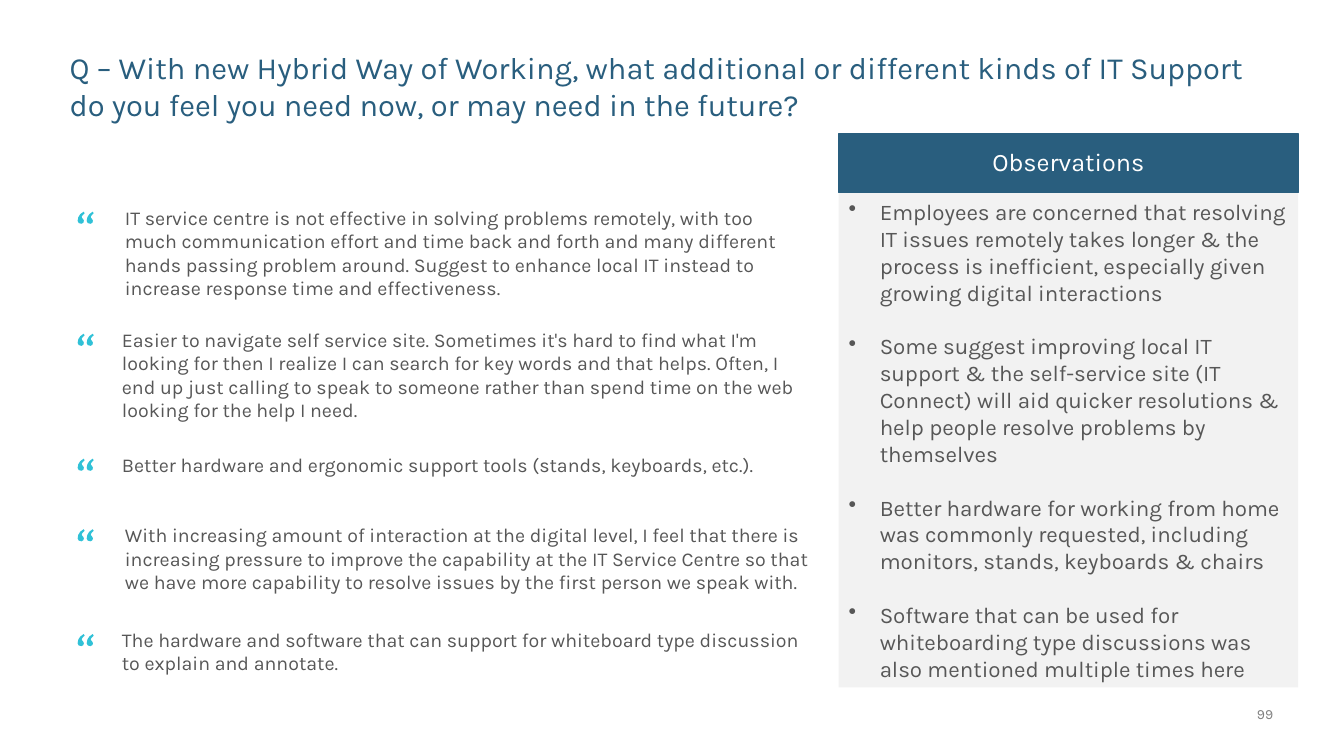
import lxml.etree
import pptx
import pptx.dml.color
import pptx.enum.shapes
import pptx.enum.text
import pptx.oxml.ns
import pptx.util

THEME = {
    "font": "Karla",
    "navy": "295E7E", "cyan": "30C1D7", "text": "575757",
    "panel": "F2F2F2", "white": "FFFFFF", "grey": "808080",
    "title": 22, "heading": 18, "observation": 16, "quote": 14, "number": 10,
}
ALIGN = pptx.enum.text.PP_ALIGN
ANCHOR = pptx.enum.text.MSO_ANCHOR
SLIDE_WIDTH = pptx.util.Inches(13.333)
SLIDE_HEIGHT = pptx.util.Inches(7.5)

# Shares of the slide in percent: left, top, width, height
TITLE_AREA = (5.18, 6.4, 89.7, 9.87)
HEADING_AREA = (62.4, 17.73, 34.2, 7.73)
PANEL_AREA = (62.4, 25.47, 34.2, 65.47)
NUMBER_AREA = (91.58, 93.33, 3.15, 2.27)
MARK_LEFT = 5.78
MARK_DROP = 1.47

# One curl of the quotation mark, in thousandths of an inch
CURL = [(40, 50), (44, 62), (56, 77), (62, 90), (57, 110), (38, 120), (11, 113),
        (0, 92), (7, 55), (27, 24), (60, 0), (70, 16), (52, 33)]
CURL_STEP = 90

# Left, top, width and height in percent, then the words
QUOTES = [
    (8.55, 26.53, 51.83, 13.87,
     "IT service centre is not effective in solving problems remotely, with too much "
     "communication effort and time back and forth and many different hands passing "
     "problem around. Suggest to enhance local IT instead to increase response time "
     "and effectiveness."),
    (8.33, 42.67, 52.8, 13.87,
     "Easier to navigate self service site. Sometimes it's hard to find what I'm looking "
     "for then I realize I can search for key words and that helps. Often, I end up just "
     "calling to speak to someone rather than spend time on the web looking for the help "
     "I need."),
    (8.33, 59.2, 53.85, 4.53,
     "Better hardware and ergonomic support tools (stands, keyboards, etc.)."),
    (8.55, 68.53, 53.85, 10.8,
     "With increasing amount of interaction at the digital level, I feel that there is "
     "increasing pressure to improve the capability at the IT Service Centre so that we "
     "have more capability to resolve issues by the first person we speak with."),
    (8.33, 82.4, 52.8, 7.6,
     "The hardware and software that can support for whiteboard type discussion to "
     "explain and annotate."),
]
OBSERVATIONS = [
    "Employees are concerned that resolving IT issues remotely takes longer & the process "
    "is inefficient, especially given growing digital interactions",
    "Some suggest improving local IT support & the self-service site (IT Connect) will aid "
    "quicker resolutions & help people resolve problems by themselves",
    "Better hardware for working from home was commonly requested, including monitors, "
    "stands, keyboards & chairs",
    "Software that can be used for whiteboarding type discussions was also mentioned "
    "multiple times here",
]


def area(left, top, width, height):
    """Turn percentages of the slide into lengths."""
    return (int(SLIDE_WIDTH * left / 100), int(SLIDE_HEIGHT * top / 100),
            int(SLIDE_WIDTH * width / 100), int(SLIDE_HEIGHT * height / 100))


def write(shape, lines, size, color, align=ALIGN.LEFT, anchor=ANCHOR.TOP, inset=None):
    """Fill a shape with themed paragraphs; inset in inches replaces all four margins."""
    frame = shape.text_frame
    frame.text = "\n".join(lines)
    frame.word_wrap = True
    frame.auto_size = pptx.enum.text.MSO_AUTO_SIZE.NONE
    frame.vertical_anchor = anchor
    if inset is not None:
        frame.margin_left = frame.margin_right = pptx.util.Inches(inset)
        frame.margin_top = frame.margin_bottom = pptx.util.Inches(inset)
    for paragraph in frame.paragraphs:
        paragraph.alignment = align
        paragraph.font.name = THEME["font"]
        paragraph.font.size = pptx.util.Pt(THEME[size])
        paragraph.font.color.rgb = pptx.dml.color.RGBColor.from_string(THEME[color])


presentation = pptx.Presentation()
presentation.slide_width = SLIDE_WIDTH
presentation.slide_height = SLIDE_HEIGHT
slide = presentation.slides.add_slide(presentation.slide_layouts[5])
shapes = slide.shapes

# Title
title = shapes.title
title.left, title.top, title.width, title.height = area(*TITLE_AREA)
write(title, ["Q – With new Hybrid Way of Working, what additional or different kinds of "
              "IT Support do you feel you need now, or may need in the future?"],
      "title", "navy", inset=0)

# Observations: panel and heading
panel, heading = [
    shapes.add_shape(pptx.enum.shapes.MSO_SHAPE.RECTANGLE, *area(*place))
    for place in (PANEL_AREA, HEADING_AREA)
]
for shape, color in ((panel, "panel"), (heading, "navy")):
    shape.shadow.inherit = False
    shape.fill.solid()
    shape.fill.fore_color.rgb = pptx.dml.color.RGBColor.from_string(THEME[color])
panel.line.fill.background()
heading.line.color.rgb = pptx.dml.color.RGBColor.from_string(THEME["navy"])
heading.line.width = pptx.util.Pt(0.85)
write(heading, ["Observations"], "heading", "white", ALIGN.CENTER, ANCHOR.MIDDLE, 0.1)
heading.text_frame.paragraphs[0].line_spacing = 0.95

write(panel, OBSERVATIONS, "observation", "text", anchor=ANCHOR.MIDDLE)
indent = pptx.util.Inches(0.31)
for index, paragraph in enumerate(panel.text_frame.paragraphs):
    if index:
        paragraph.space_before = pptx.util.Pt(THEME["observation"] * 1.2)
    properties = paragraph._p.get_or_add_pPr()
    properties.set("marL", str(indent))
    properties.set("indent", str(-indent))
    bullet = lxml.etree.Element(pptx.oxml.ns.qn("a:buChar"), char="•")
    properties.find(pptx.oxml.ns.qn("a:defRPr")).addprevious(bullet)

# Quotes, each with its quotation mark
for left, top, width, height, words in QUOTES:
    quote = shapes.add_textbox(*area(left, top, width, height))
    write(quote, [words], "quote", "text")

    curls = [[(x + shift, y) for x, y in CURL] for shift in (0, CURL_STEP)]
    builder = shapes.build_freeform(*curls[0][0], scale=pptx.util.Inches(1) / 1000)
    builder.add_line_segments(curls[0][1:], close=True)
    builder.move_to(*curls[1][0])
    builder.add_line_segments(curls[1][1:], close=True)
    mark = builder.convert_to_shape(*area(MARK_LEFT, top + MARK_DROP, 0, 0)[:2])
    mark.shadow.inherit = False
    mark.fill.solid()
    mark.fill.fore_color.rgb = pptx.dml.color.RGBColor.from_string(THEME["cyan"])
    mark.line.fill.background()

# Page number
number = shapes.add_textbox(*area(*NUMBER_AREA))
write(number, ["99"], "number", "grey", ALIGN.RIGHT, ANCHOR.BOTTOM, 0)

presentation.save("out.pptx")
